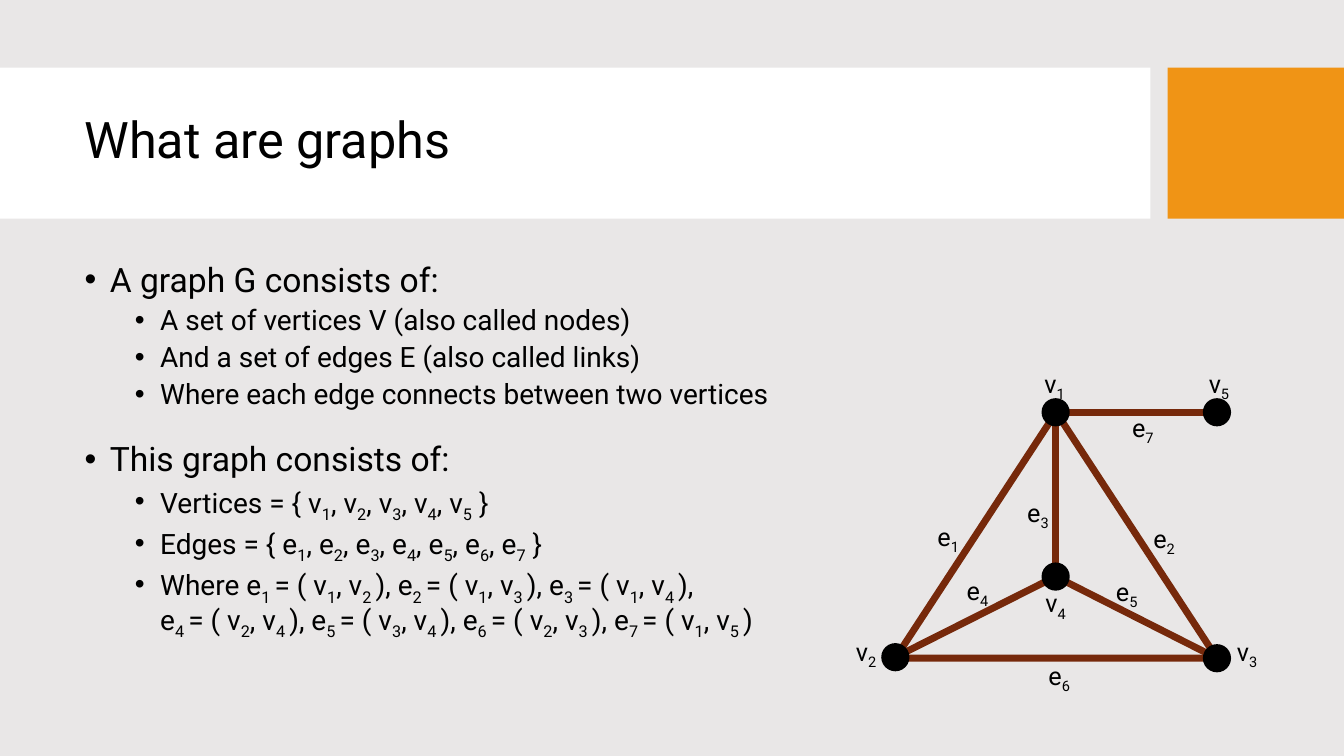
from lxml import etree
from pptx import Presentation
from pptx.dml.color import RGBColor
from pptx.enum.shapes import MSO_CONNECTOR, MSO_SHAPE
from pptx.enum.text import MSO_ANCHOR as ANCHOR
from pptx.oxml.ns import qn
from pptx.util import Inches, Pt

GREY = RGBColor(0xE9, 0xE7, 0xE7)
WHITE = RGBColor(0xFF, 0xFF, 0xFF)
ORANGE = RGBColor(0xF0, 0x94, 0x15)
BROWN = RGBColor(0x76, 0x29, 0x0B)
BLACK = RGBColor(0, 0, 0)
FONT = "Roboto"
DOT = 0.28

VERTICES = {1: (2.08, 0.49), 2: (0.49, 2.92), 3: (3.68, 2.93), 4: (2.08, 2.12), 5: (3.68, 0.49)}
EDGES = {1: (1, 2), 2: (1, 3), 3: (1, 4), 4: (2, 4), 5: (3, 4), 6: (2, 3), 7: (1, 5)}
INNER_EDGES = (3, 4, 5, 7)
VERTEX_LABELS = {1: (1.87, 0), 2: (0, 2.66), 3: (3.78, 2.66), 4: (1.88, 2.18), 5: (3.5, 0)}
EDGE_LABELS = {1: (0.81, 1.52), 2: (2.95, 1.54), 3: (1.7, 1.28), 4: (1.1, 2.06),
               5: (2.58, 2.07), 6: (1.91, 2.9), 7: (2.74, 0.44)}


def add_run(p, text, size, sub=False):
    """Add one run, lowered when it is a subscript."""
    r = p.add_run()
    r.text = text
    r.font.size = Pt(size)
    r.font.name = FONT
    r.font.color.rgb = BLACK
    if sub:
        r._r.get_or_add_rPr().set("baseline", "-25000")


def write(p, text, size=18, level=None, before=0, spacing=None):
    """Fill a paragraph; [..] marks a subscript and a newline breaks the line."""
    if level is not None:
        pPr = p._p.get_or_add_pPr()
        pPr.set("marL", str(Inches(0.25 + 0.5 * level)))
        pPr.set("indent", str(Inches(-0.25)))
        etree.SubElement(pPr, qn("a:buFont")).set("typeface", "Arial")
        etree.SubElement(pPr, qn("a:buChar")).set("char", "•")
        p.level = level
    p.space_before = Pt(before)
    if spacing:
        p.line_spacing = spacing
    for i, line in enumerate(text.split("\n")):
        if i:
            p.add_line_break()
        head, *pieces = line.split("[")
        if head:
            add_run(p, head, size)
        for piece in pieces:
            sub, _, rest = piece.partition("]")
            add_run(p, sub, size, sub=True)
            if rest:
                add_run(p, rest, size)


def add_text(s, x, y, w, h, wrap=True, anchor=ANCHOR.TOP):
    """Add an empty text box and return its frame."""
    tf = s.shapes.add_textbox(Inches(x), Inches(y), Inches(w), Inches(h)).text_frame
    tf.word_wrap = wrap
    tf.vertical_anchor = anchor
    return tf


def add_shape(s, kind, x, y, w, h, fill=None, line=None):
    """Add a preset shape with an optional fill and outline."""
    sp = s.shapes.add_shape(kind, Inches(x), Inches(y), Inches(w), Inches(h))
    sp.shadow.inherit = False
    if fill is None:
        sp.fill.background()
    else:
        sp.fill.solid()
        sp.fill.fore_color.rgb = fill
    if line is None:
        sp.line.fill.background()
    else:
        sp.line.color.rgb = line
        sp.line.width = Pt(5)


def add_edge(s, start, end):
    """Draw a straight graph edge between two points."""
    c = s.shapes.add_connector(MSO_CONNECTOR.STRAIGHT, *map(Inches, start + end))
    c.line.color.rgb = BROWN
    c.line.width = Pt(5)
    etree.SubElement(c._element.spPr, qn("a:effectLst"))


def add_header(s, y, h, title):
    """Place the white title band and the orange block beside it."""
    add_shape(s, MSO_SHAPE.RECTANGLE, 0, y, 11.41, h, fill=WHITE)
    add_shape(s, MSO_SHAPE.RECTANGLE, 11.58, y, 1.75, h, fill=ORANGE)
    tf = add_text(s, 0.74, y + 0.15, 10.51, 1.18, anchor=ANCHOR.MIDDLE)
    write(tf.paragraphs[0], title, size=36, spacing=0.9)


def add_bullets(s, x, y, w, h, heading, items):
    """Place a heading bullet with its second-level bullets."""
    tf = add_text(s, x, y, w, h)
    write(tf.paragraphs[0], heading, size=24, level=0, spacing=0.9)
    for item in items:
        write(tf.add_paragraph(), item, size=20, level=1, before=5, spacing=0.9)


def add_graph(s, x, y):
    """Draw the graph with its vertices, edges and labels from a top-left corner."""
    points = {n: (x + dx, y + dy) for n, (dx, dy) in VERTICES.items()}
    for n in INNER_EDGES:
        a, b = EDGES[n]
        add_edge(s, points[a], points[b])
    left, top = points[2][0], points[1][1]
    right, bottom = points[3]
    add_shape(s, MSO_SHAPE.ISOSCELES_TRIANGLE, left, top, right - left, bottom - top, line=BROWN)
    for px, py in points.values():
        add_shape(s, MSO_SHAPE.OVAL, px - DOT / 2, py - DOT / 2, DOT, DOT, fill=BLACK)
    for letter, w, labels in (("v", 0.41, VERTEX_LABELS), ("e", 0.43, EDGE_LABELS)):
        for n, (dx, dy) in labels.items():
            tf = add_text(s, x + dx, y + dy, w, 0.4, wrap=False)
            write(tf.paragraphs[0], f"{letter}[{n}]")


def name_set(letter, numbers):
    """Return a set of subscripted names in braces."""
    return "{ " + ", ".join(f"{letter}[{n}]" for n in numbers) + " }"


def main():
    """Build the slide and save it."""
    prs = Presentation()
    prs.slide_width, prs.slide_height = Inches(13.33), Inches(7.5)
    s = prs.slides.add_slide(prs.slide_layouts[6])
    s.background.fill.solid()
    s.background.fill.fore_color.rgb = GREY
    add_header(s, 0.67, 1.5, "What are graphs")
    add_bullets(s, 0.74, 2.56, 10.51, 1.83, "A graph G consists of:", [
        "A set of vertices V (also called nodes)",
        "And a set of edges E (also called links)",
        "Where each edge connects between two vertices",
    ])
    add_graph(s, 8.39, 3.6)
    pairs = [f"e[{n} ]= ( v[{a}], v[{b} ])" for n, (a, b) in EDGES.items()]
    add_bullets(s, 0.74, 4.34, 7.69, 2.29, "This graph consists of:", [
        "Vertices = " + name_set("v", VERTICES),
        "Edges = " + name_set("e", EDGES),
        "Where " + ", ".join(pairs[:3]) + ", \n" + ", ".join(pairs[3:]),
    ])
    prs.save("out.pptx")


if __name__ == "__main__":
    main()
